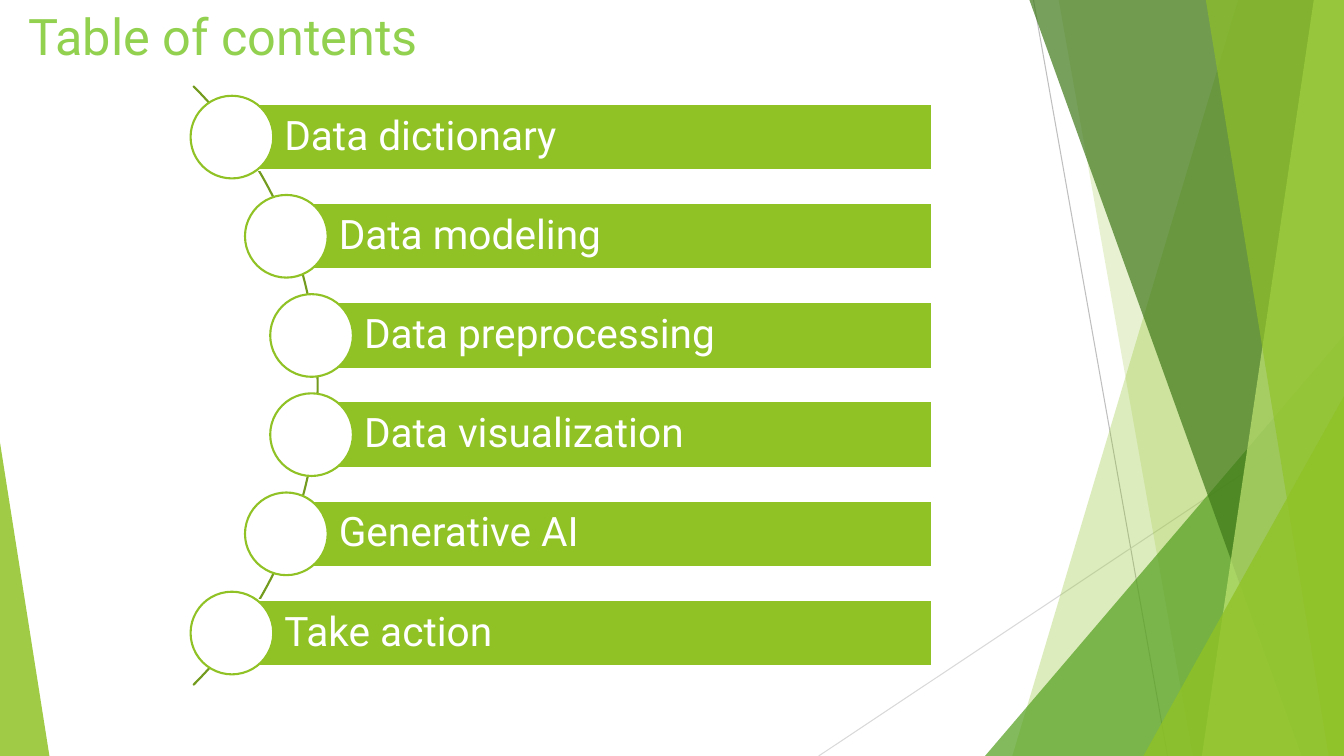
import pptx
import pptx.util
import pptx.dml.color
import pptx.enum.shapes
import pptx.enum.text
from lxml import etree
from pptx.oxml.ns import qn

Inches = pptx.util.Inches
Pt = pptx.util.Pt
RGBColor = pptx.dml.color.RGBColor
Preset = pptx.enum.shapes.MSO_SHAPE
Anchor = pptx.enum.text.MSO_ANCHOR
Align = pptx.enum.text.PP_ALIGN

WHITE = RGBColor(0xFF, 0xFF, 0xFF)
LIME = RGBColor(0x90, 0xC2, 0x26)
PALE_LIME = RGBColor(0xC0, 0xE4, 0x74)
GREEN = RGBColor(0x54, 0xA0, 0x21)
DARK_GREEN = RGBColor(0x3F, 0x78, 0x19)
ARC_GREEN = RGBColor(0x73, 0x9B, 0x1E)
TITLE_GREEN = RGBColor(0x92, 0xD0, 0x50)
GRAY = RGBColor(0xBF, 0xBF, 0xBF)
LIGHT_GRAY = RGBColor(0xD9, 0xD9, 0xD9)

WIDTH, HEIGHT = 13.33, 7.5


class PageBuilder:
    font = "Roboto"
    outline = Pt(1.5)

    def __init__(self, page):
        self.page = page

    def set_text(self, shape, text, size, color, anchor):
        frame = shape.text_frame
        frame.text = text
        frame.word_wrap = True
        frame.vertical_anchor = anchor
        para = frame.paragraphs[0]
        para.alignment = Align.LEFT
        span = para.runs[0]
        span.font.name = self.font
        span.font.size = Pt(size)
        span.font.color.rgb = color
        return frame

    def title(self, text, left, top, width, height):
        box = self.page.shapes.title
        box.left, box.top = Inches(left), Inches(top)
        box.width, box.height = Inches(width), Inches(height)
        frame = self.set_text(box, text, 36, TITLE_GREEN, Anchor.TOP)
        frame.auto_size = pptx.enum.text.MSO_AUTO_SIZE.SHAPE_TO_FIT_TEXT

    def paint(self, shape, fill=None, line=None, opacity=None):
        shape.shadow.inherit = False
        if fill is None:
            shape.fill.background()
        else:
            shape.fill.solid()
            shape.fill.fore_color.rgb = fill
        if opacity is not None:
            color = shape._element.spPr.find(qn("a:solidFill"))[0]
            etree.SubElement(color, qn("a:alpha"), val=str(opacity * 1000))
        if line is None:
            shape.line.fill.background()
        else:
            shape.line.color.rgb = line
            shape.line.width = self.outline
        return shape

    def shape(self, preset, left, top, width, height, adjust=(), **style):
        shape = self.page.shapes.add_shape(
            preset, Inches(left), Inches(top), Inches(width), Inches(height))
        for index, value in enumerate(adjust):
            shape.adjustments[index] = value
        return self.paint(shape, **style)

    def triangle(self, left, top, width, apex, fill, opacity):
        self.shape(Preset.ISOSCELES_TRIANGLE, left, top, width, HEIGHT - top,
                   adjust=[apex], fill=fill, opacity=opacity)

    def right_panel(self, top_left, bottom_left, fill, opacity):
        """Full-height panel from a slanted left edge to the slide's right edge."""
        builder = self.page.shapes.build_freeform(Inches(top_left), Inches(0))
        corners = [(WIDTH, 0), (WIDTH, HEIGHT), (bottom_left, HEIGHT)]
        builder.add_line_segments([(Inches(x), Inches(y)) for x, y in corners])
        self.paint(builder.convert_to_shape(), fill=fill, opacity=opacity)

    def line(self, x1, y1, x2, y2, color):
        line = self.page.shapes.add_connector(
            pptx.enum.shapes.MSO_CONNECTOR.STRAIGHT,
            Inches(x1), Inches(y1), Inches(x2), Inches(y2))
        line.line.color.rgb = color
        line.line.width = Pt(0.75)
        etree.SubElement(line._element.spPr, qn("a:effectLst"))

    def topic(self, text, center_x, center_y):
        """Bar that starts at the centre of a round marker."""
        bar_right, bar_height, marker = 9.24, 0.66, 0.82
        bar = self.shape(Preset.RECTANGLE, center_x, center_y - bar_height / 2,
                         bar_right - center_x, bar_height, fill=LIME, line=WHITE)
        frame = self.set_text(bar, text, 29, WHITE, Anchor.MIDDLE)
        frame.margin_left = Inches(0.52)
        frame.margin_right = frame.margin_top = frame.margin_bottom = Inches(0.08)
        frame.paragraphs[0].line_spacing = 0.9
        self.shape(Preset.OVAL, center_x - marker / 2, center_y - marker / 2,
                   marker, marker, fill=WHITE, line=LIME)


def main():
    deck = pptx.Presentation()
    deck.slide_width, deck.slide_height = Inches(WIDTH), Inches(HEIGHT)
    builder = PageBuilder(deck.slides.add_slide(deck.slide_layouts[5]))

    # Background facets
    builder.line(10.25, 0, 11.58, HEIGHT, GRAY)
    builder.line(WIDTH, 4.03, 8.12, HEIGHT, LIGHT_GRAY)
    builder.right_panel(12.28, 10.04, LIME, 30)
    builder.right_panel(10.5, 11.83, LIME, 20)
    builder.triangle(9.77, 3.33, 3.56, 1, GREEN, 72)
    builder.right_panel(10.21, 12.91, DARK_GREEN, 70)
    builder.right_panel(13.03, 11.92, PALE_LIME, 70)
    builder.right_panel(11.96, 13.18, LIME, 65)
    builder.triangle(11.34, 3.93, 1.99, 1, LIME, 80)
    builder.triangle(0, 4.39, 0.49, 0, LIME, 85)

    # Title
    builder.title("Table of contents", 0.18, 0, 7.18, 0.71)

    # Topics along the arc
    builder.shape(Preset.BLOCK_ARC, -5.24, -0.37, 8.39, 8.39,
                  adjust=[189, 27, 0], line=ARC_GREEN)
    topics = [("Data dictionary", 2.3), ("Data modeling", 2.84),
              ("Data preprocessing", 3.09), ("Data visualization", 3.09),
              ("Generative AI", 2.84), ("Take action", 2.3)]
    first_y, last_y = 1.36, 6.28
    step = (last_y - first_y) / (len(topics) - 1)
    for row, (text, center_x) in enumerate(topics):
        builder.topic(text, center_x, first_y + row * step)

    deck.save("out.pptx")


if __name__ == "__main__":
    main()
